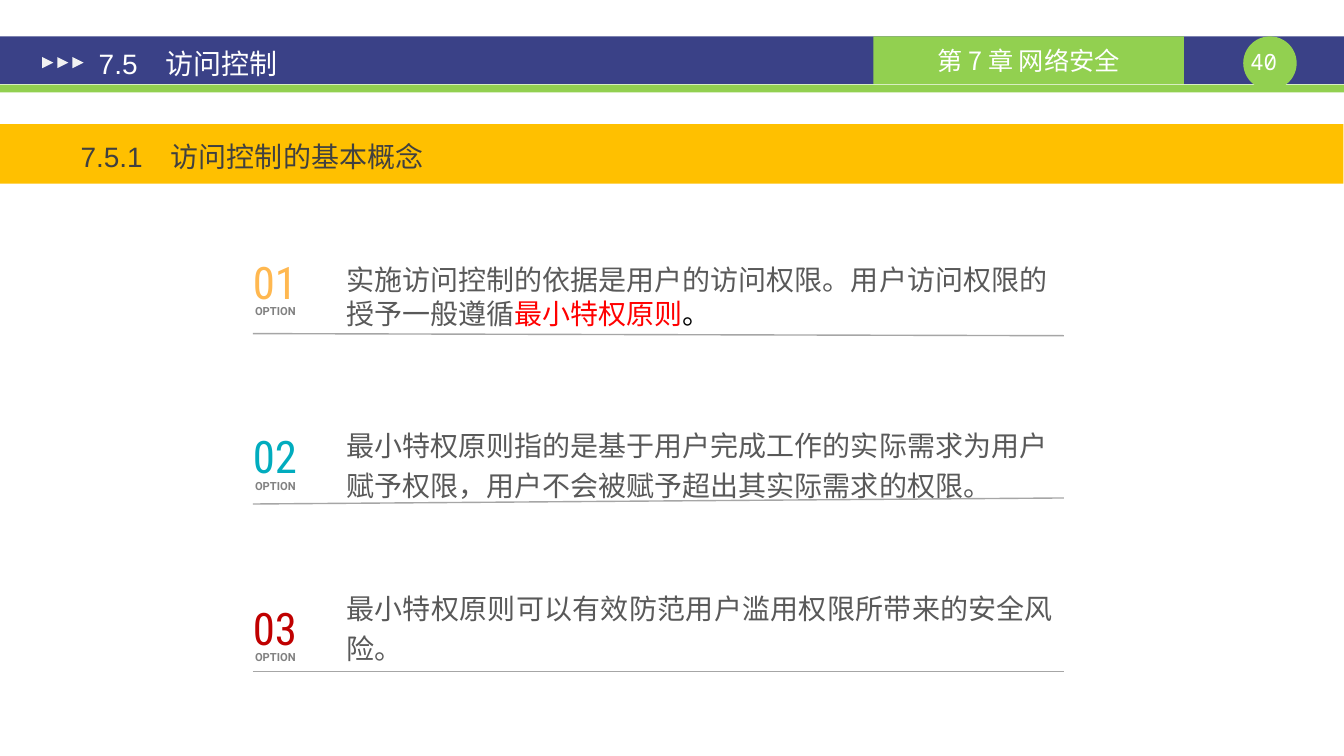
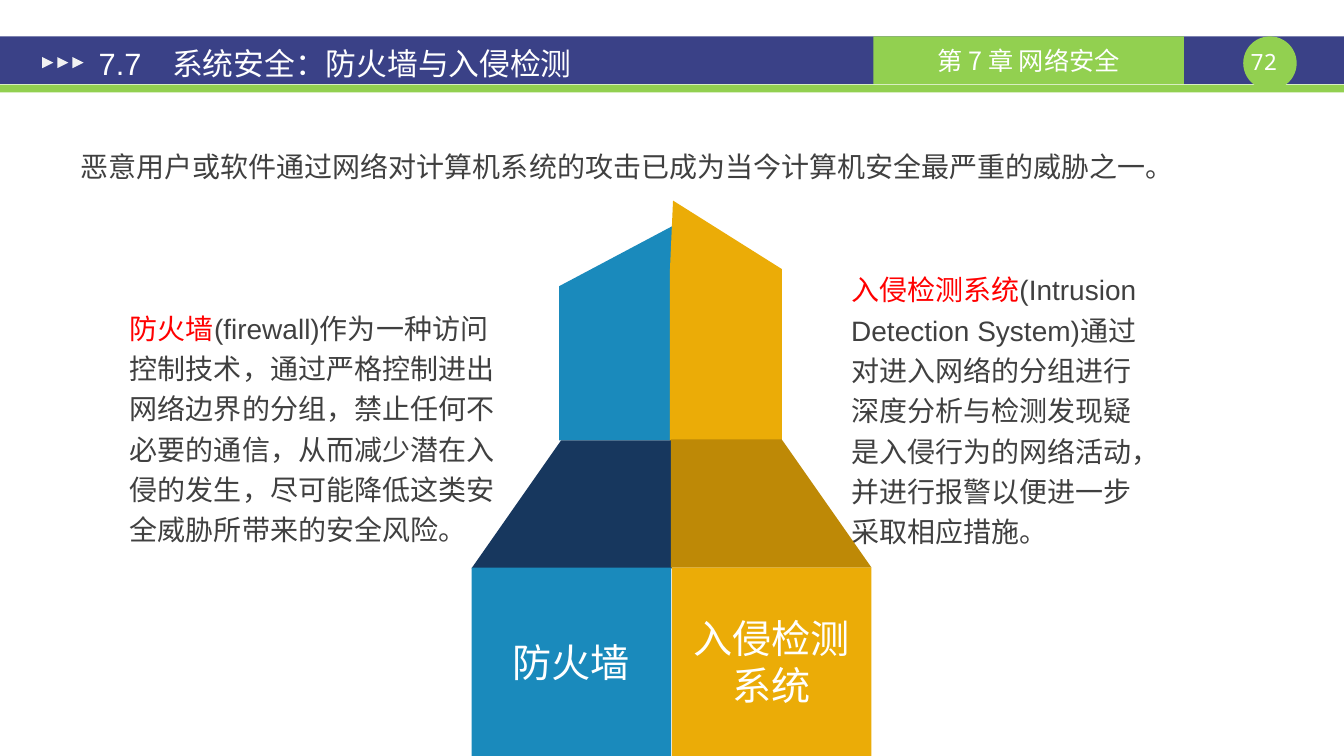
from dataclasses import dataclass
from typing import Any, NamedTuple, Optional

import lxml.etree
import pptx
import pptx.dml.color
import pptx.enum.shapes
import pptx.enum.text
import pptx.oxml.ns
import pptx.util

Pt = pptx.util.Pt
RGBColor = pptx.dml.color.RGBColor
Shape = pptx.enum.shapes.MSO_SHAPE
Align = pptx.enum.text.PP_ALIGN
Anchor = pptx.enum.text.MSO_ANCHOR

WHITE = RGBColor(0xFF, 0xFF, 0xFF)
INDIGO = RGBColor(0x3A, 0x41, 0x87)
GREEN = RGBColor(0x92, 0xD0, 0x50)
PALE = RGBColor(0xF2, 0xF2, 0xF2)
AMBER = RGBColor(0xFF, 0xC0, 0x00)
INK = RGBColor(0x40, 0x40, 0x40)
TEXT_GREY = RGBColor(0x59, 0x59, 0x59)
LABEL_GREY = RGBColor(0x81, 0x81, 0x81)
RULE_GREY = RGBColor(0xA6, 0xA6, 0xA6)
BLACK = RGBColor(0x00, 0x00, 0x00)
RED = RGBColor(0xFF, 0x00, 0x00)
ORANGE = RGBColor(0xFF, 0xB8, 0x50)
TEAL = RGBColor(0x01, 0xAC, 0xBE)
CRIMSON = RGBColor(0xC0, 0x00, 0x00)
BLUE = RGBColor(0x1A, 0x8A, 0xBC)
NAVY = RGBColor(0x17, 0x37, 0x5E)
GOLD = RGBColor(0xEB, 0xAC, 0x07)
BRONZE = RGBColor(0xBE, 0x89, 0x06)

CJK = "Noto Sans CJK SC"
SLIDE_WIDTH, SLIDE_HEIGHT = 960.48, 540
NO_INSET = (0, 0)
WIDE_INSET = (9.36, 5.04)
PLAIN_INSET = (7.2, 3.6)


class Box(NamedTuple):
    left: float
    top: float
    width: float
    height: float


class Span(NamedTuple):
    text: str
    color: RGBColor


@dataclass(frozen=True)
class TextStyle:
    font: dict[str, Any]
    paragraph: dict[str, Any]
    inset: tuple[float, float] = PLAIN_INSET
    anchor: Any = Anchor.TOP
    wrap: bool = True


@dataclass(frozen=True)
class Option:
    number: str
    color: RGBColor
    number_top: float
    text_top: float
    text_height: float
    rule_ends: tuple[float, float]
    spans: list[Span]
    paragraph: dict[str, Any]


@dataclass(frozen=True)
class Facet:
    color: RGBColor
    corners: list[tuple[float, float]]


def font(name: str, size: float, bold: bool = False) -> dict[str, Any]:
    return {"name": name, "size": Pt(size), "bold": bold}


LEFT = {"alignment": Align.LEFT}
CENTER = {"alignment": Align.CENTER}
LEAD = TextStyle(font("Arial", 20), LEFT | {"line_spacing": 1.5}, WIDE_INSET)
PASSAGE = TextStyle(font("Arial", 20),
                    LEFT | {"line_spacing": 1.2, "space_before": Pt(4)}, WIDE_INSET)
CHAPTER = TextStyle(font(CJK, 18), CENTER, anchor=Anchor.MIDDLE)
PAGE_NUMBER = TextStyle(font("Noto Sans Mono", 16), CENTER, NO_INSET)
OPTION_NUMBER = TextStyle(font("Roboto Condensed", 32), LEFT, NO_INSET, Anchor.MIDDLE)
OPTION_LABEL = TextStyle(font("Roboto", 8, True), CENTER, wrap=False)
PILLAR_NAME = TextStyle(font(CJK, 28), CENTER, anchor=Anchor.MIDDLE)

OPTIONS = [
    Option("01", ORANGE, 181.4, 184.3, 55.4, (238.3, 239.8),
           [Span("实施访问控制的依据是用户的访问权限。用户访问权限的授予一般遵循", TEXT_GREY),
            Span("最小特权原则", RED), Span("。", BLACK)],
           LEFT),
    Option("02", TEAL, 306, 297.4, 62.6, (360, 355.7),
           [Span("最小特权原则指的是基于用户完成工作的实际需求为用户赋予权限，"
                 "用户不会被赋予超出其实际需求的权限。", TEXT_GREY)],
           LEFT | {"line_spacing": 1.2}),
    Option("03", CRIMSON, 428.6, 414, 65.5, (479.5, 479.5),
           [Span("最小特权原则可以有效防范用户滥用权限所带来的安全风险。", TEXT_GREY)],
           {"alignment": Align.JUSTIFY, "line_spacing": 1.2}),
]

PASSAGES = [
    (Box(83.5, 212.4, 283.7, 244.8),
     [Span("防火墙", RED),
      Span("(firewall)作为一种访问控制技术，通过严格控制进出网络边界的分组，"
           "禁止任何不必要的通信，从而减少潜在入侵的发生，"
           "尽可能降低这类安全威胁所带来的安全风险。", INK)]),
    (Box(599, 185, 232.6, 214.6),
     [Span("入侵检测系统", RED),
      Span("(Intrusion Detection System)通过对进入网络的分组进行深度分析与检测"
           "发现疑是入侵行为的网络活动，并进行报警以便进一步采取相应措施。", INK)]),
]

FACETS = [
    Facet(BLUE, [(479.5, 204.5), (479.5, 314.6), (399.6, 314.6), (399.6, 204.5), (481, 161.3)]),
    Facet(GOLD, [(478.8, 192.2), (478.8, 315.4), (558.7, 315.4), (558.7, 192.2), (481, 143.3)]),
    Facet(NAVY, [(337, 406), (401, 314.6), (480.2, 314.6), (480.2, 406)]),
    Facet(BRONZE, [(622.8, 405.4), (558.7, 313.9), (479.5, 313.9), (479.5, 405.4)]),
]

PILLARS = [
    (BLUE, Box(337, 405.4, 142.6, 134.6), "防火墙"),
    (GOLD, Box(480.2, 405.4, 142.6, 134.6), "入侵检测系统"),
]


def lengths(box: Box) -> list[int]:
    return [Pt(value) for value in box]


def apply(target: Any, values: dict[str, Any]) -> None:
    for name, value in values.items():
        setattr(target, name, value)


def write(frame: Any, spans: list[Span], style: TextStyle) -> None:
    """Fill a text frame with one paragraph of coloured spans."""
    side, end = map(Pt, style.inset)
    apply(frame, {
        "auto_size": pptx.enum.text.MSO_AUTO_SIZE.NONE,
        "word_wrap": style.wrap,
        "vertical_anchor": style.anchor,
        "margin_left": side, "margin_right": side,
        "margin_top": end, "margin_bottom": end,
    })
    paragraph = frame.paragraphs[0]
    apply(paragraph, style.paragraph)
    for span in spans:
        run = paragraph.add_run()
        run.text = span.text
        apply(run.font, style.font)
        run.font.color.rgb = span.color
        east_asian = lxml.etree.SubElement(run._r.get_or_add_rPr(), pptx.oxml.ns.qn("a:ea"))
        east_asian.set("typeface", CJK)


def add_text(slide: Any, box: Box, spans: list[Span], style: TextStyle) -> None:
    write(slide.shapes.add_textbox(*lengths(box)).text_frame, spans, style)


def paint(shape: Any, color: RGBColor) -> None:
    shape.shadow.inherit = False
    shape.fill.solid()
    shape.fill.fore_color.rgb = color
    shape.line.fill.background()


def add_block(slide: Any, kind: Any, box: Box, color: RGBColor) -> Any:
    block = slide.shapes.add_shape(kind, *lengths(box))
    paint(block, color)
    return block


def add_facet(slide: Any, facet: Facet) -> None:
    start, *others = [(Pt(x), Pt(y)) for x, y in facet.corners]
    builder = slide.shapes.build_freeform(*start, scale=1.0)
    builder.add_line_segments(others, close=True)
    paint(builder.convert_to_shape(), facet.color)


def add_rule(slide: Any, start: tuple[float, float], end: tuple[float, float]) -> None:
    rule = slide.shapes.add_connector(
        pptx.enum.shapes.MSO_CONNECTOR.STRAIGHT, *map(Pt, start + end))
    rule.line.color.rgb = RULE_GREY
    rule.line.width = Pt(1)
    lxml.etree.SubElement(rule.element.spPr, pptx.oxml.ns.qn("a:effectLst"))


def move_header_to_layout(slide: Any, layout: Any) -> None:
    """Draw the shared header, then hand it to the layout so every slide shows it."""
    header = [
        add_block(slide, Shape.RECTANGLE, Box(0, 26, SLIDE_WIDTH, 34), INDIGO),
        add_block(slide, Shape.RECTANGLE, Box(0, 60.4, SLIDE_WIDTH, 5.6), GREEN),
        add_block(slide, Shape.OVAL, Box(888.5, 26, 38.2, 38.2), GREEN),
    ]
    chapter = add_block(slide, Shape.RECTANGLE, Box(624.2, 26, 221.8, 34), GREEN)
    write(chapter.text_frame, [Span("第 7 章 网络安全", WHITE)], CHAPTER)
    header.append(chapter)
    for index in range(3):
        arrow = add_block(slide, Shape.ISOSCELES_TRIANGLE,
                          Box(30.2 + 10.8 * index, 40.8, 7.9, 7.9), PALE)
        arrow.rotation = 90
        header.append(arrow)
    for part in header:
        layout.shapes.element.append(part.element)


def fill_placeholder(holder: Any, box: Box, span: Span, style: TextStyle) -> None:
    apply(holder, dict(zip(Box._fields, lengths(box))))
    write(holder.text_frame, [span], style)


def add_content_slide(deck: Any, layout: Any, title: str, title_size: float,
                      lead: str, lead_box: Box, page: str) -> Any:
    slide = deck.slides.add_slide(layout)
    fill_placeholder(slide.shapes.title, Box(61.2, 28, 419.8, 34), Span(title, WHITE),
                     TextStyle(font("Arial", title_size), LEFT, WIDE_INSET, Anchor.MIDDLE))
    body = slide.placeholders[1]
    fill_placeholder(body, lead_box, Span(lead, INK), LEAD)
    properties = body.text_frame.paragraphs[0]._p.get_or_add_pPr()
    for name in ("marL", "indent"):
        properties.set(name, "0")
    lxml.etree.SubElement(properties, pptx.oxml.ns.qn("a:buNone"))
    add_text(slide, Box(884, 34.6, 38.2, 19.4), [Span(page, WHITE)], PAGE_NUMBER)
    return slide


def add_option(slide: Any, option: Option) -> None:
    add_text(slide, Box(180.7, option.number_top, 35.3, 38.9),
             [Span(option.number, option.color)], OPTION_NUMBER)
    add_text(slide, Box(174.2, option.number_top + 32.6, 45.4, 17.3),
             [Span("OPTION", LABEL_GREY)], OPTION_LABEL)
    add_text(slide, Box(240.5, option.text_top, 519.1, option.text_height),
             option.spans, TextStyle(font(CJK, 20), option.paragraph))
    start, end = option.rule_ends
    add_rule(slide, (180.7, start), (760.3, end))


def main() -> None:
    deck = pptx.Presentation()
    apply(deck, {"slide_width": Pt(SLIDE_WIDTH), "slide_height": Pt(SLIDE_HEIGHT)})
    layout = deck.slide_layouts[1]
    for holder in list(layout.placeholders)[2:]:
        layout.shapes.element.remove(holder.element)

    access = add_content_slide(deck, layout, "7.5　访问控制", 20, "7.5.1　访问控制的基本概念",
                               Box(48.2, 82.8, 864.7, 52.6), "40")
    move_header_to_layout(access, layout)
    section_band = add_block(access, Shape.RECTANGLE, Box(0, 88.6, 960, 42.5), AMBER)
    access.shapes.element.insert(2, section_band.element)
    for option in OPTIONS:
        add_option(access, option)

    defence = add_content_slide(
        deck, layout, "7.7　系统安全：防火墙与入侵检测", 22,
        "恶意用户或软件通过网络对计算机系统的攻击已成为当今计算机安全最严重的威胁之一。",
        Box(48.2, 90, 864.7, 396), "72")
    for box, spans in PASSAGES:
        add_text(defence, box, spans, PASSAGE)
    for facet in FACETS:
        add_facet(defence, facet)
    for color, box, name in PILLARS:
        pillar = add_block(defence, Shape.RECTANGLE, box, color)
        write(pillar.text_frame, [Span(name, WHITE)], PILLAR_NAME)

    deck.save("out.pptx")


if __name__ == "__main__":
    main()
